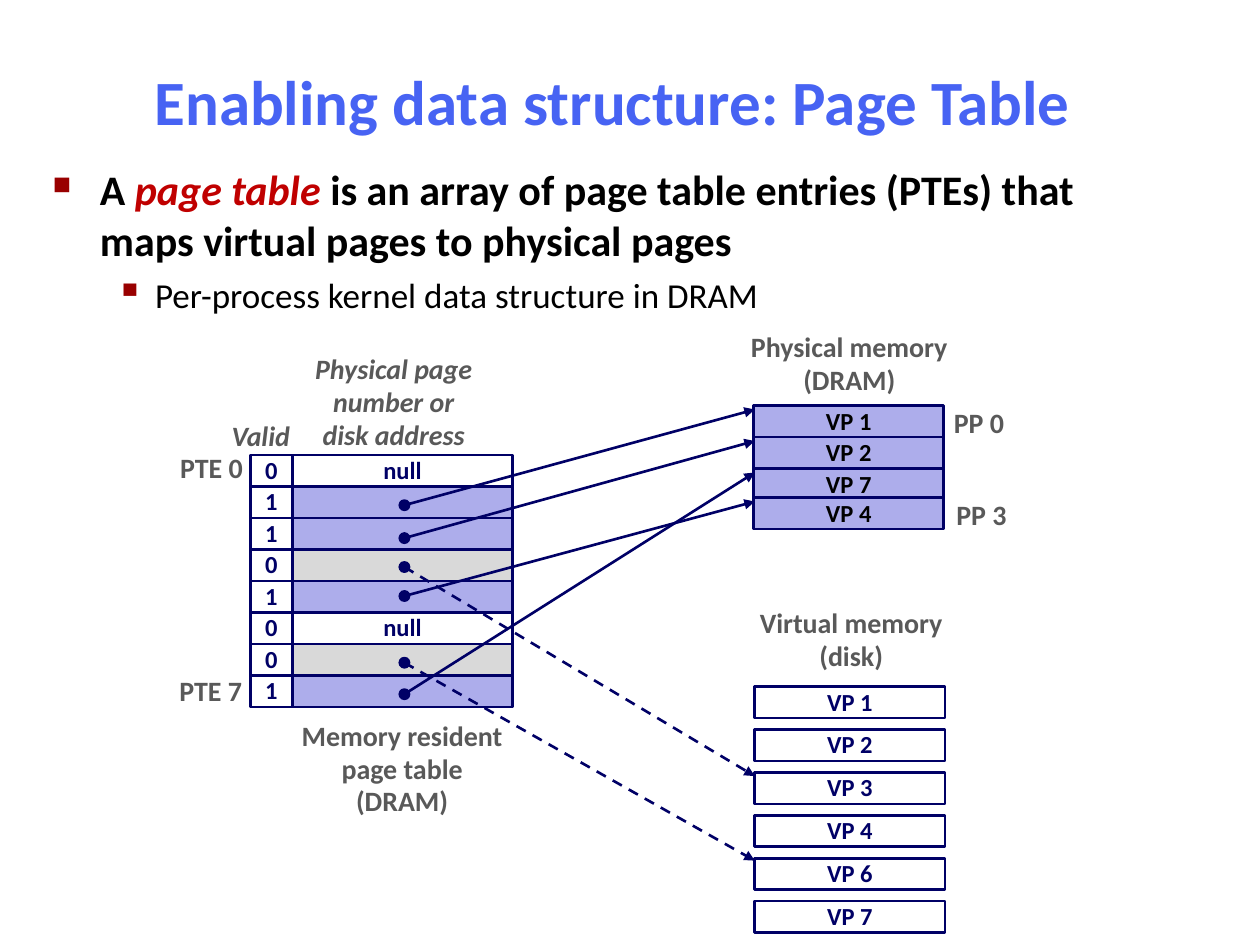
from lxml.etree import SubElement
from pptx import Presentation
from pptx.dml.color import RGBColor
from pptx.enum.dml import MSO_LINE
from pptx.enum.shapes import MSO_CONNECTOR, MSO_SHAPE
from pptx.enum.text import MSO_ANCHOR, PP_ALIGN as ALIGN
from pptx.oxml.ns import qn
from pptx.util import Pt

NAVY, GREY, BLACK, WHITE = "000066", "595959", "000000", "FFFFFF"
CACHED, ON_DISK = "ADADEB", "D9D9D9"


def rgb(value):
    return RGBColor.from_string(value)


def write(frame, text, size, color, align=ALIGN.CENTER, italic=False):
    """Fill a text frame with one bold paragraph per line of text."""
    frame.word_wrap = False
    frame.vertical_anchor = MSO_ANCHOR.MIDDLE
    for number, line in enumerate(text.split("\n")):
        paragraph = frame.add_paragraph() if number else frame.paragraphs[0]
        paragraph.text = line
        paragraph.alignment = align
        paragraph.line_spacing = 0.98
        font = paragraph.font
        font.name, font.size, font.bold, font.italic = "Calibri", Pt(size), True, italic
        font.color.rgb = rgb(color)


prs = Presentation()
prs.slide_width, prs.slide_height = Pt(720), Pt(540)
slide = prs.slides.add_slide(prs.slide_layouts[6])
shapes = slide.shapes

# Title and bullets
title = shapes.add_textbox(Pt(24), Pt(28), Pt(652), Pt(62))
write(title.text_frame, "Enabling data structure: Page Table", 36, "4763F3")

body = shapes.add_textbox(Pt(23), Pt(90), Pt(654.5), Pt(101.5)).text_frame
body.word_wrap = True
bullets = [
    (["A ", "page table ",
      "is an array of page table entries (PTEs) that maps virtual pages to physical pages"],
     24, True, 6, 27, 27, "■", 60),
    (["Per-process kernel data structure in DRAM"], 20, False, 5, 58.5, 22.5, "▪", 110),
]
for level, (parts, size, bold, before, margin, hanging, mark, percent) in enumerate(bullets):
    paragraph = body.add_paragraph() if level else body.paragraphs[0]
    paragraph.level = level
    paragraph.space_before = Pt(before)
    props = paragraph._p.get_or_add_pPr()
    props.set("marL", str(Pt(margin)))
    props.set("indent", str(-Pt(hanging)))
    SubElement(SubElement(props, qn("a:buClr")), qn("a:srgbClr"), val="990000")
    SubElement(props, qn("a:buSzPct"), val=str(percent * 1000))
    SubElement(props, qn("a:buChar"), char=mark)
    font = paragraph.font
    font.name, font.size, font.bold = "Calibri", Pt(size), bold
    font.color.rgb = rgb(BLACK)
    for part in parts:
        run = paragraph.add_run()
        run.text = part
        if part == "page table ":
            run.font.italic = True
            run.font.color.rgb = rgb("C00000")

# Page table entries: valid bit, text, fill, top of the dot, height the arrow points to
ROW = 18
entries = [
    ("0", "null", WHITE, None, None),
    ("1", "", CACHED, 285.8, 234),
    ("1", "", CACHED, 304.6, 252),
    ("0", "", ON_DISK, 321.1, 443.5),
    ("1", "", CACHED, 337.7, 286.6),
    ("0", "null", WHITE, None, None),
    ("0", "", ON_DISK, 375.8, 491.8),
    ("1", "", CACHED, 393.8, 270),
]

# Cells: left, top, width, text, fill, text colour
cells = []
for row, (valid, content, fill, _, _) in enumerate(entries):
    top = 260 + row * ROW
    cells.append((167, top, 126, content, fill, NAVY))
    cells.append((143.3, top, 23.7, valid, None, NAVY))
for page, top in zip((1, 2, 7, 4), (231.8, 249.8, 267.8, 284.4)):
    cells.append((430.6, top, 108.7, f"VP {page}", CACHED, BLACK))
for slot, page in enumerate((1, 2, 3, 4, 6, 7)):
    cells.append((431.3, 392.4 + slot * 24.5, 108.7, f"VP {page}", WHITE, NAVY))

for left, top, width, text, fill, color in cells:
    cell = shapes.add_shape(MSO_SHAPE.RECTANGLE, Pt(left), Pt(top), Pt(width), Pt(ROW))
    cell.shadow.inherit = False
    if fill:
        cell.fill.solid()
        cell.fill.fore_color.rgb = rgb(fill)
    else:
        cell.fill.background()
    cell.line.color.rgb = rgb(NAVY)
    cell.line.width = Pt(1.5)
    if text:
        write(cell.text_frame, text, 14, color)

# Labels: left, top, width, height, text, alignment, italic
labels = [
    (165, 407.5, 129.6, 64, "Memory resident\npage table\n(DRAM)", ALIGN.CENTER, False),
    (422, 185.8, 126.7, 44.6, "Physical memory\n(DRAM)", ALIGN.CENTER, False),
    (427, 343.4, 118.8, 44.6, "Virtual memory\n(disk)", ALIGN.CENTER, False),
    (125.3, 236.2, 54, 26, "Valid", ALIGN.LEFT, True),
    (172.8, 198, 104.4, 64, "Physical page\nnumber or\ndisk address", ALIGN.CENTER, True),
    (95.5, 255, 50.4, 26, "PTE 0", ALIGN.RIGHT, False),
    (95, 382.3, 50.4, 26, "PTE 7", ALIGN.RIGHT, False),
    (537.8, 229, 43.2, 26, "PP 0", ALIGN.CENTER, False),
    (539.3, 281.5, 43.2, 26, "PP 3", ALIGN.CENTER, False),
]
for left, top, width, height, text, align, italic in labels:
    label = shapes.add_textbox(Pt(left), Pt(top), Pt(width), Pt(height))
    write(label.text_frame, text, 16, GREY, align, italic)

# Pointers from the entries to memory or disk
DOT, DOT_LEFT = 5.8, 228.2
for _, _, fill, dot_top, target in entries:
    if target is None:
        continue
    pointer = shapes.add_connector(MSO_CONNECTOR.STRAIGHT, Pt(DOT_LEFT + DOT / 2),
                                   Pt(dot_top + DOT / 2), Pt(431.3), Pt(target))
    pointer.line.color.rgb = rgb(NAVY)
    pointer.line.width = Pt(1.5)
    if fill == ON_DISK:
        pointer.line.dash_style = MSO_LINE.DASH
    SubElement(pointer.line._get_or_add_ln(), qn("a:tailEnd"), type="triangle")
    SubElement(pointer._element.spPr, qn("a:effectLst"))

    dot = shapes.add_shape(MSO_SHAPE.OVAL, Pt(DOT_LEFT), Pt(dot_top), Pt(DOT), Pt(DOT))
    dot.shadow.inherit = False
    dot.fill.solid()
    dot.fill.fore_color.rgb = rgb(NAVY)
    dot.line.color.rgb = rgb(NAVY)
    dot.line.width = Pt(1)

prs.save("out.pptx")
